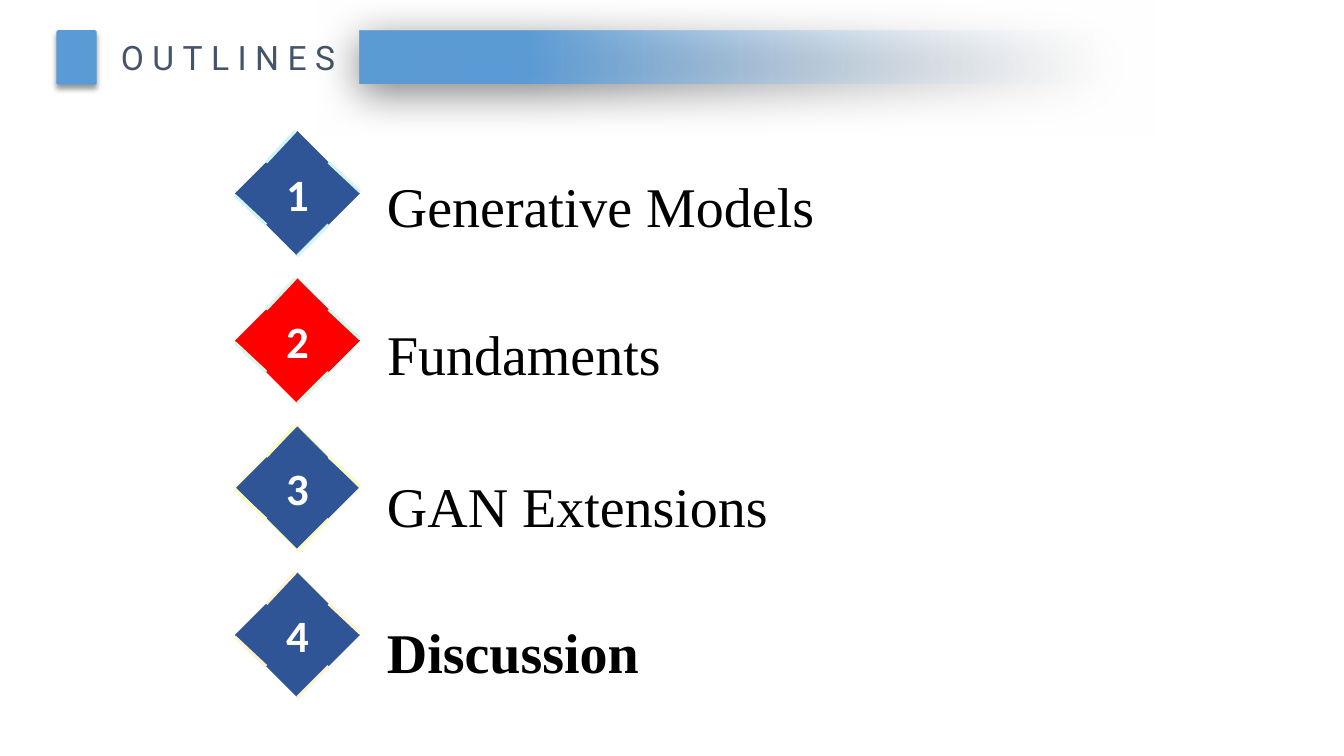
from dataclasses import dataclass

from lxml import etree
from pptx import Presentation
from pptx.dml.color import RGBColor
from pptx.enum.shapes import MSO_CONNECTOR, MSO_SHAPE
from pptx.enum.text import MSO_ANCHOR, MSO_AUTO_SIZE, PP_ALIGN
from pptx.oxml.ns import qn
from pptx.shapes.autoshape import Shape
from pptx.slide import Slide
from pptx.text.text import TextFrame
from pptx.util import Inches, Pt

RECT = MSO_SHAPE.RECTANGLE
ROUND = MSO_SHAPE.ROUNDED_RECTANGLE
DIAMOND = MSO_SHAPE.DIAMOND
LINE = MSO_CONNECTOR.STRAIGHT
TOP = MSO_ANCHOR.TOP
MIDDLE = MSO_ANCHOR.MIDDLE
LEFT = PP_ALIGN.LEFT
CENTER = PP_ALIGN.CENTER
NO_FIT = MSO_AUTO_SIZE.NONE

BLUE = RGBColor(0x5B, 0x9B, 0xD5)
PALE = RGBColor(0xF6, 0xF8, 0xFC)
SLATE = RGBColor(0x44, 0x54, 0x6A)
NAVY = RGBColor(0x2F, 0x55, 0x97)
RED = RGBColor(0xFF, 0x00, 0x00)
WHITE = RGBColor(0xFF, 0xFF, 0xFF)
BLACK = RGBColor(0x00, 0x00, 0x00)
AQUA = RGBColor(0xD2, 0xF5, 0xF4)
MINT = RGBColor(0xD9, 0xF6, 0xEA)
LEMON = RGBColor(0xFA, 0xFC, 0xC8)
CREAM = RGBColor(0xFF, 0xF2, 0xD0)

SIDE = 1.24
GEM_X = 2.33
GEM_Y = 1.3
STEP = 1.46
TEXT_X = 3.74
EDGES = (
    (0.31, 0.31, 0.6, 0),
    (0.62, 1.24, 0.93, 0.93),
    (1.24, 0.6, 0.93, 0.31),
    (0.31, 0.93, 0, 0.64),
)


@dataclass
class Item:
    text: str
    top: float
    width: float
    height: float
    edge: RGBColor
    fill: RGBColor = NAVY
    space: float = 1.2
    bold: bool = False
    rim: bool = False


ITEMS = (
    Item("Generative Models", 1.58, 8.33, 0.96, AQUA, space=1.0),
    Item("Fundaments", 2.92, 9.51, 1.03, MINT, fill=RED),
    Item("GAN Extensions", 4.42, 8.33, 1.03, LEMON, rim=True),
    Item("Discussion", 5.87, 8.33, 0.96, CREAM, bold=True),
)


def write(frame: TextFrame, text: str, face: str, size: float,
          color: RGBColor, bold: bool = False) -> None:
    frame.text = text
    font = frame.paragraphs[0].runs[0].font
    font.name = face
    font.size = Pt(size)
    font.bold = bold
    font.color.rgb = color


def add_block(slide: Slide, kind: MSO_SHAPE, left: float, top: float,
              width: float, height: float, fill: RGBColor) -> Shape:
    block = slide.shapes.add_shape(
        kind, Inches(left), Inches(top), Inches(width), Inches(height))
    block.shadow.inherit = False
    block.fill.solid()
    block.fill.fore_color.rgb = fill
    block.line.fill.background()
    return block


def cast(block: Shape, alpha: int, blur: float, dist: float, angle: int) -> None:
    effects = block._element.spPr.find(qn("a:effectLst"))
    shade = etree.SubElement(
        effects, qn("a:outerShdw"), blurRad=str(Pt(blur)), dist=str(Pt(dist)),
        dir=str(angle * 60000), algn="ctr", rotWithShape="0")
    color = etree.SubElement(shade, qn("a:srgbClr"), val=str(BLACK))
    etree.SubElement(color, qn("a:alpha"), val=str(alpha * 1000))


def add_head(slide: Slide) -> None:
    title = slide.shapes.title
    title.left, title.top = Inches(1.1), Inches(0.32)
    title.width, title.height = Inches(2.55), Inches(0.51)
    frame = title.text_frame
    write(frame, "OUTLINES", "Roboto", 24, SLATE)
    frame.auto_size = NO_FIT
    frame.word_wrap = False
    frame.vertical_anchor = TOP
    frame.paragraphs[0].alignment = LEFT
    frame.paragraphs[0].runs[0].font._element.set("spc", "600")

    band = add_block(slide, RECT, 3.57, 0.3, 7.49, 0.53, BLUE)
    band.fill.gradient()
    band.fill.gradient_angle = 180
    for stop, color, place in zip(band.fill.gradient_stops, (PALE, BLUE), (0, 0.78)):
        stop.color.rgb = color
        stop.position = place
    clear = band._element.spPr.find(".//" + qn("a:gs")).find(qn("a:srgbClr"))
    etree.SubElement(clear, qn("a:alpha"), val="0")
    cast(band, 50, 31, 6, 97)

    mark = add_block(slide, ROUND, 0.56, 0.3, 0.4, 0.54, BLUE)
    mark.adjustments[0] = 0.05
    cast(mark, 40, 4, 3, 90)


def add_edge(slide: Slide, top: float, ends: tuple[float, ...],
             color: RGBColor) -> None:
    x1, y1, x2, y2 = ends
    edge = slide.shapes.add_connector(
        LINE, Inches(GEM_X + x1), Inches(top + y1),
        Inches(GEM_X + x2), Inches(top + y2))
    edge.line.color.rgb = color
    edge.line.width = Pt(2.25)
    etree.SubElement(edge._element.spPr, qn("a:effectLst"))


def add_item(slide: Slide, index: int, item: Item) -> None:
    top = GEM_Y + index * STEP
    gem = add_block(slide, DIAMOND, GEM_X, top, SIDE, SIDE, item.fill)
    if item.rim:
        gem.line.color.rgb = item.edge
        gem.line.width = Pt(1)
    write(gem.text_frame, str(index + 1), "Calibri", 32, WHITE, True)
    gem.text_frame.vertical_anchor = MIDDLE
    gem.text_frame.paragraphs[0].alignment = CENTER
    for ends in EDGES:
        add_edge(slide, top, ends, item.edge)

    box = slide.shapes.add_textbox(
        Inches(TEXT_X), Inches(item.top), Inches(item.width), Inches(item.height))
    frame = box.text_frame
    frame.word_wrap = True
    frame.margin_top = Inches(0.12)
    write(frame, item.text, "Times New Roman", 40, BLACK, item.bold)
    frame.paragraphs[0].line_spacing = item.space


def main() -> None:
    deck = Presentation()
    deck.slide_width = Inches(13.33)
    deck.slide_height = Inches(7.5)
    slide = deck.slides.add_slide(deck.slide_layouts[5])
    add_head(slide)
    for index, item in enumerate(ITEMS):
        add_item(slide, index, item)
    deck.save("out.pptx")


if __name__ == "__main__":
    main()
